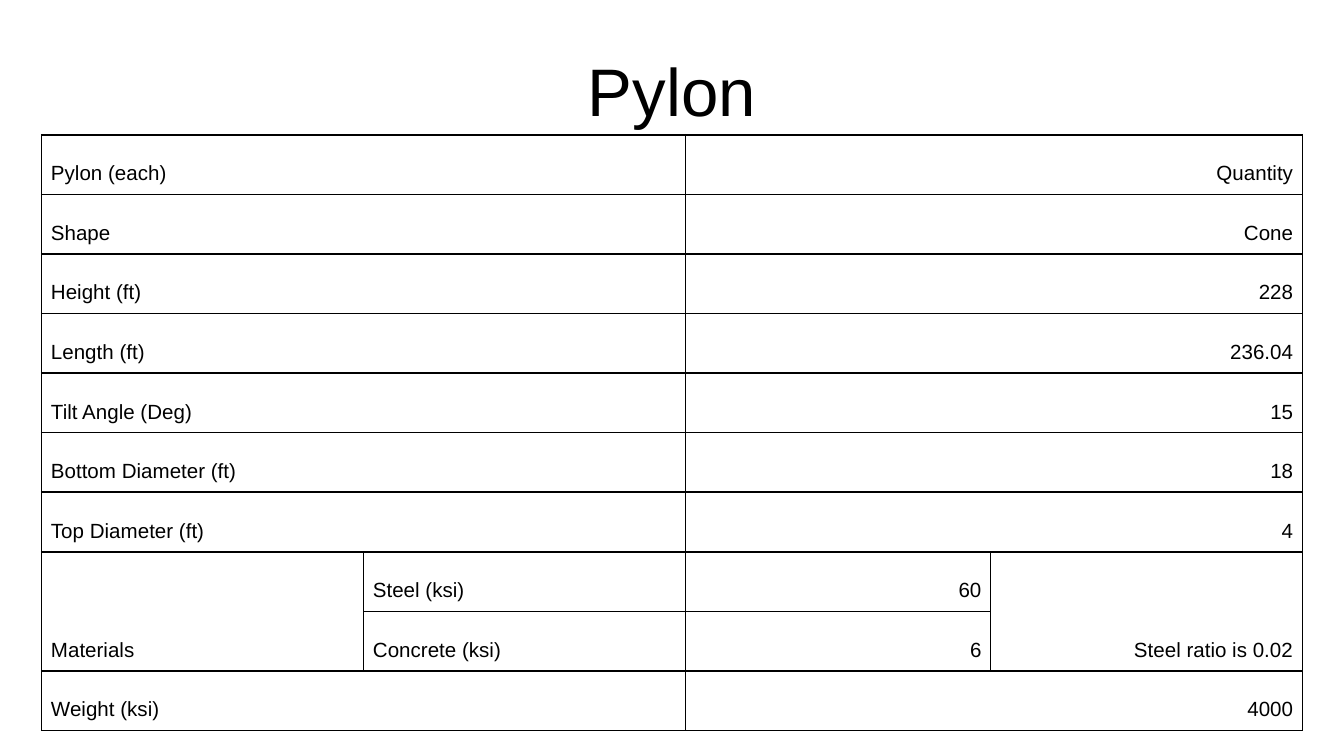
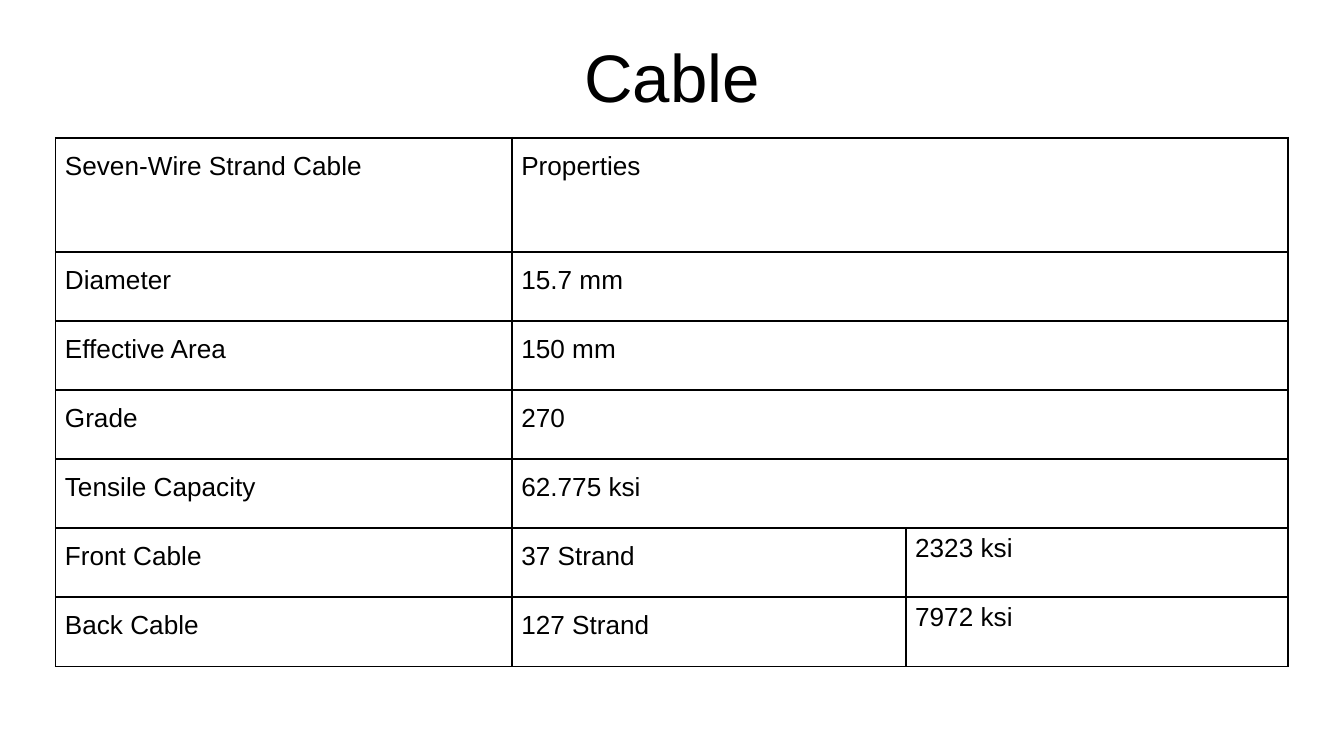
from dataclasses import dataclass

from lxml.etree import SubElement
from pptx import Presentation
from pptx.dml.color import RGBColor
from pptx.enum.text import MSO_ANCHOR, MSO_AUTO_SIZE, PP_ALIGN
from pptx.oxml.ns import qn
from pptx.util import Pt


@dataclass(frozen=True)
class Theme:
    font: str = "Arial"
    ink: str = "000000"
    paper: str = "FFFFFF"
    title_size: float = 36
    pylon_size: float = 11
    cable_size: float = 14
    outer_line: float = 1
    inner_line: float = 0.75
    cell_inset: float = 5
    tight_inset: float = 0.7
    line_spacing: float = 1.15


THEME = Theme()
TITLE_ONLY = 5

# Markers for cells that join the neighbour on their left or above.
LEFT, ABOVE = "<", "^"

PYLON_ROWS = [
    ["Pylon (each)", LEFT, "Quantity", LEFT],
    ["Shape", LEFT, "Cone", LEFT],
    ["Height (ft)", LEFT, "228", LEFT],
    ["Length (ft)", LEFT, "236.04", LEFT],
    ["Tilt Angle (Deg)", LEFT, "15", LEFT],
    ["Bottom Diameter (ft)", LEFT, "18", LEFT],
    ["Top Diameter (ft)", LEFT, "4", LEFT],
    ["Materials", "Steel (ksi)", "60", "Steel ratio is 0.02"],
    [ABOVE, "Concrete (ksi)", "6", ABOVE],
    ["Weight (ksi)", LEFT, "4000", LEFT],
]

CABLE_ROWS = [
    ["Seven-Wire Strand Cable", "Properties", LEFT],
    ["Diameter", "15.7 mm", LEFT],
    ["Effective Area", "150 mm", LEFT],
    ["Grade", "270", LEFT],
    ["Tensile Capacity", "62.775 ksi", LEFT],
    ["Front Cable", "37 Strand", "2323 ksi"],
    ["Back Cable", "127 Strand", "7972 ksi"],
]


def add_text(tf, text, size, align):
    p = tf.paragraphs[0]
    p.alignment = align
    r = p.add_run()
    r.text = text
    r.font.name = THEME.font
    r.font.size = Pt(size)
    r.font.color.rgb = RGBColor.from_string(THEME.ink)
    return p


def set_insets(box, left, top, right, bottom):
    box.margin_left, box.margin_top = Pt(left), Pt(top)
    box.margin_right, box.margin_bottom = Pt(right), Pt(bottom)


def add_titled_slide(prs, title, top):
    slide = prs.slides.add_slide(prs.slide_layouts[TITLE_ONLY])
    slide.background.fill.solid()
    slide.background.fill.fore_color.rgb = RGBColor.from_string(THEME.paper)
    sp = slide.shapes.title
    sp.left, sp.top, sp.width, sp.height = Pt(24.5), Pt(top), Pt(671), Pt(66)
    tf = sp.text_frame
    tf.word_wrap = True
    tf.auto_size = MSO_AUTO_SIZE.NONE
    tf.vertical_anchor = MSO_ANCHOR.MIDDLE
    set_insets(tf, 7.2, 7.2, 7.2, 7.2)
    add_text(tf, title, THEME.title_size, PP_ALIGN.CENTER)
    return slide


def set_borders(cell, **widths):
    """Draw the sides L, R, T and B, given in that order, ahead of the fill."""
    tcPr = cell._tc.get_or_add_tcPr()
    for i, (side, width) in enumerate(widths.items()):
        ln = SubElement(tcPr, qn(f"a:ln{side}"), w=str(Pt(width)))
        fill = SubElement(ln, qn("a:solidFill"))
        SubElement(fill, qn("a:srgbClr"), val=THEME.ink)
        SubElement(ln, qn("a:prstDash"), val="solid")
        tcPr.insert(i, ln)


def merge_cells(table, rows):
    for r, row in enumerate(rows):
        for c, text in enumerate(row):
            if text in (LEFT, ABOVE):
                continue
            right, low = c, r
            while right + 1 < len(row) and row[right + 1] == LEFT:
                right += 1
            while low + 1 < len(rows) and rows[low + 1][c] == ABOVE:
                low += 1
            if (right, low) != (c, r):
                table.cell(r, c).merge(table.cell(low, right))


def add_grid(slide, rows, left, top, widths, heights, size,
             inner=THEME.outer_line, anchor=MSO_ANCHOR.TOP,
             right_from=None, tight_col=None):
    """Add a ruled table; columns from right_from on are right-aligned."""
    frame = slide.shapes.add_table(len(rows), len(widths), Pt(left), Pt(top),
                                   Pt(sum(widths)), Pt(sum(heights)))
    table = frame.table
    table.first_row = table.horz_banding = False
    for col, width in zip(table.columns, widths):
        col.width = Pt(width)
    for row, height in zip(table.rows, heights):
        row.height = Pt(height)
    merge_cells(table, rows)

    for r, row in enumerate(rows):
        for c, text in enumerate(row):
            cell = table.cell(r, c)
            cell.fill.background()
            span = cell.span_width if cell.is_merge_origin else 1
            inside = inner if r else THEME.outer_line
            set_borders(cell,
                        L=inside if c else THEME.outer_line,
                        R=inside if c + span < len(row) else THEME.outer_line,
                        T=THEME.outer_line, B=THEME.outer_line)
            if text in (LEFT, ABOVE):
                continue
            inset = THEME.cell_inset
            edge = THEME.tight_inset if text and c == tight_col else inset
            set_insets(cell, inset, edge, edge, edge)
            cell.vertical_anchor = anchor
            to_right = right_from is not None and c >= right_from
            p = add_text(cell.text_frame, text, size,
                         PP_ALIGN.RIGHT if to_right else PP_ALIGN.LEFT)
            p.line_spacing = THEME.line_spacing


def main():
    prs = Presentation()
    prs.slide_width, prs.slide_height = Pt(720), Pt(405)

    pylon = add_titled_slide(prs, "Pylon", 15)
    add_grid(pylon, PYLON_ROWS, 22.3, 72.2, [172.5, 172.5, 163.5, 167],
             [31.93] * len(PYLON_ROWS), THEME.pylon_size,
             inner=THEME.inner_line, anchor=MSO_ANCHOR.BOTTOM, right_from=2)

    cable = add_titled_slide(prs, "Cable", 7.5)
    add_grid(cable, CABLE_ROWS, 29.8, 73.8, [244.5, 211, 204.7],
             [61.2] + [37] * (len(CABLE_ROWS) - 1), THEME.cable_size,
             tight_col=2)

    prs.save("out.pptx")


if __name__ == "__main__":
    main()
